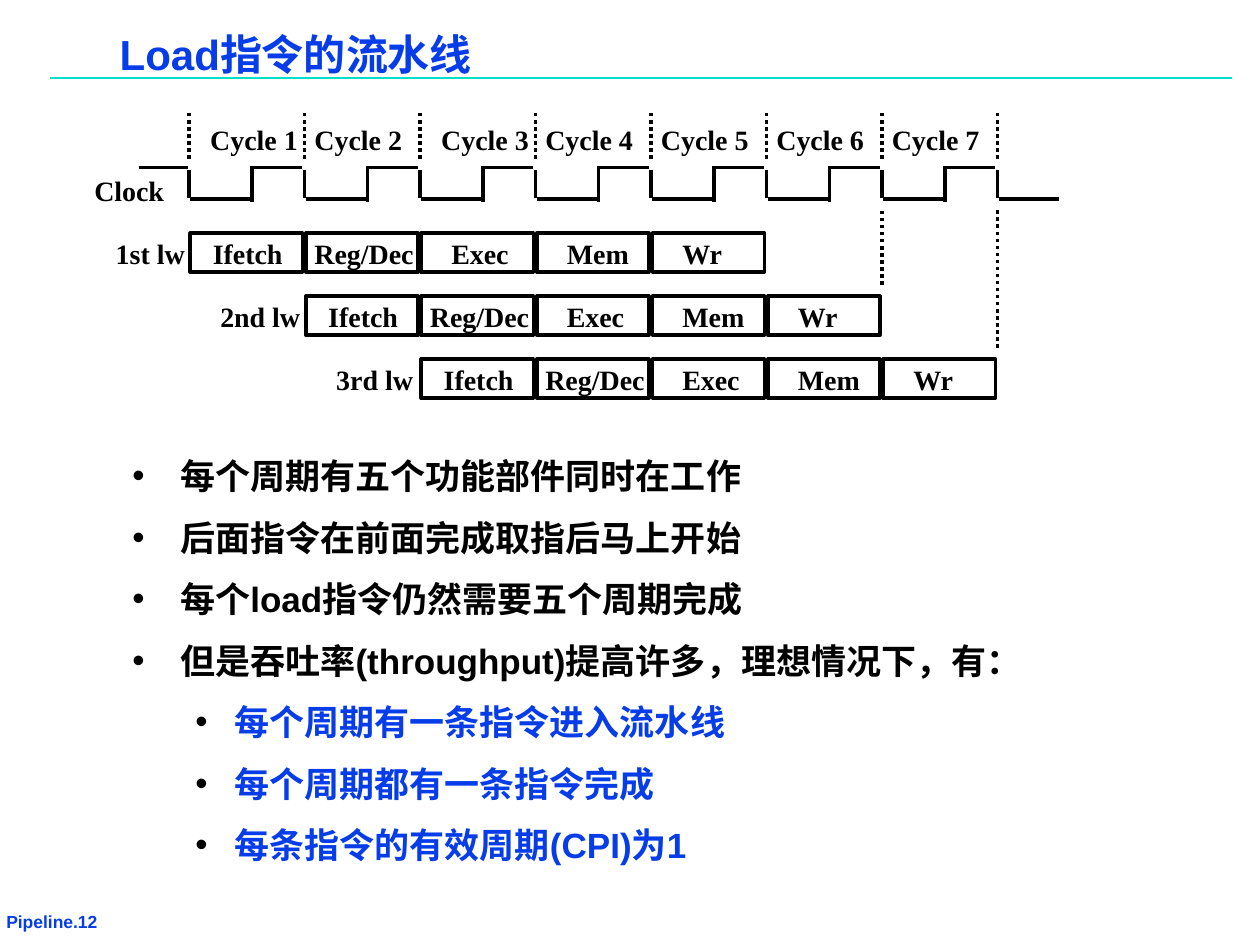
"""Build the slide on pipelined load instructions."""
from lxml import etree
from pptx import Presentation
from pptx.dml.color import RGBColor
from pptx.enum.dml import MSO_LINE
from pptx.enum.shapes import MSO_CONNECTOR, MSO_SHAPE
from pptx.enum.text import MSO_AUTO_SIZE
from pptx.oxml.ns import qn
from pptx.util import Inches, Pt

STRAIGHT = MSO_CONNECTOR.STRAIGHT
RECT = MSO_SHAPE.RECTANGLE
DOTTED = MSO_LINE.ROUND_DOT
FIXED = MSO_AUTO_SIZE.NONE
BLUE = RGBColor(0x06, 0x3D, 0xE8)
TEAL = RGBColor(0x00, 0xDF, 0xCA)
BLACK = RGBColor(0, 0, 0)

START = 1.5
PITCH = 11 / 12
HIGH, LOW = 1.33, 1.58

prs = Presentation()
prs.slide_width, prs.slide_height = Inches(10), Inches(7.5)
s = prs.slides.add_slide(prs.slide_layouts[6])


def add_text(x, y, w, h, lines, size=16, font="Times New Roman", inset=(0.1, 0.05)):
    tf = s.shapes.add_textbox(Inches(x), Inches(y), Inches(w), Inches(h)).text_frame
    tf.word_wrap = True
    tf.auto_size = FIXED
    tf.margin_left, tf.margin_right = Inches(inset[0]), 0
    tf.margin_top = tf.margin_bottom = Inches(inset[1])
    for i, (text, color) in enumerate(lines):
        p = tf.paragraphs[0] if i == 0 else tf.add_paragraph()
        r = p.add_run()
        r.text = text
        r.font.name, r.font.size, r.font.bold = font, Pt(size), True
        r.font.color.rgb = color
    return tf


def add_line(x1, y1, x2, y2, color=BLACK, width=2, dash=None):
    ln = s.shapes.add_connector(STRAIGHT, Inches(x1), Inches(y1), Inches(x2), Inches(y2))
    ln.line.color.rgb = color
    ln.line.width = Pt(width)
    if dash:
        ln.line.dash_style = dash
    etree.SubElement(ln._element.spPr, qn("a:effectLst"))


add_text(-0.02, 7.2, 1.38, 0.22, [("Pipeline.12", BLUE)], 10, "Arial", (0.07, 0.03))
add_line(0.4, 0.62, 9.78, 0.62, TEAL, 1)
tf = add_text(0.88, 0.25, 5.28, 0.4, [("Load指令的流水线", BLUE)], 24, "Arial", (0.07, 0.03))
tf.paragraphs[0].line_spacing = 0.87

add_text(0.65, 1.33, 0.75, 0.36, [("Clock", BLACK)])
add_line(START - 0.4, HIGH, START - 0.01, HIGH)
for i in range(8):
    x = START + i * PITCH
    add_line(x, 1.26, x, 0.9, dash=DOTTED)
    add_line(x, 1.35, x, 1.57)
    add_line(x + 0.01, LOW, x + 0.49, LOW)
    if i < 7:
        add_line(x + 0.5, 1.6, x + 0.5, 1.32)
        add_line(x + 0.51, HIGH, x + 0.9, HIGH)
        shift = 0.07 if i in (0, 2) else -0.02
        add_text(x + shift, 0.92, 0.89, 0.36, [(f"Cycle {i + 1}", BLACK)])
for i, bottom in ((6, 2.26), (7, 2.76)):
    x = START + i * PITCH
    add_line(x, bottom, x, 1.65, dash=DOTTED)

STAGES = [("Ifetch", 0.09, 0.75), ("Reg/Dec", -0.02, 0.99), ("Exec", 0.15, 0.65),
          ("Mem", 0.15, 0.69), ("Wr", 0.15, 0.52)]
LOADS = [("1st lw", 0.82, 0.75), ("2nd lw", 1.65, 0.83), ("3rd lw", 2.57, 0.81)]
for row, (load, left, width) in enumerate(LOADS):
    y = 1.85 + row * 0.5
    add_text(left, y - 0.02, width, 0.36, [(load, BLACK)])
    for col, (stage, shift, w) in enumerate(STAGES):
        x = START + (row + col) * PITCH
        sp = s.shapes.add_shape(RECT, Inches(x + 0.01), Inches(y), Inches(0.89), Inches(0.31))
        sp.shadow.inherit = False
        sp.fill.background()
        sp.line.color.rgb = BLACK
        sp.line.width = Pt(2)
        add_text(x + shift, y - 0.02, w, 0.36, [(stage, BLACK)])

POINTS = [
    ("每个周期有五个功能部件同时在工作", BLACK),
    ("后面指令在前面完成取指后马上开始", BLACK),
    ("每个load指令仍然需要五个周期完成", BLACK),
    ("但是吞吐率(throughput)提高许多，理想情况下，有：", BLACK),
    ("每个周期有一条指令进入流水线", BLUE),
    ("每个周期都有一条指令完成", BLUE),
    ("每条指令的有效周期(CPI)为1", BLUE),
]
tf = add_text(0.98, 3.53, 7.91, 3.37, POINTS, 20, "Arial", (0.07, 0.03))
for i, p in enumerate(tf.paragraphs):
    p.level = 1 if i > 3 else 0
    p.line_spacing = 1.15
    p.space_before = Pt(7.5 if i else 0)
    left, hang = (0.81, -0.31) if p.level else (0.38, -0.38)
    pPr = p._p.get_or_add_pPr()
    pPr.set("marL", str(Inches(left)))
    pPr.set("indent", str(Inches(hang)))
    clr = etree.SubElement(pPr, qn("a:buClr"))
    etree.SubElement(clr, qn("a:srgbClr"), val=str(BLACK))
    etree.SubElement(pPr, qn("a:buFont"), typeface="Arial")
    etree.SubElement(pPr, qn("a:buChar"), char="•")

prs.save("out.pptx")
